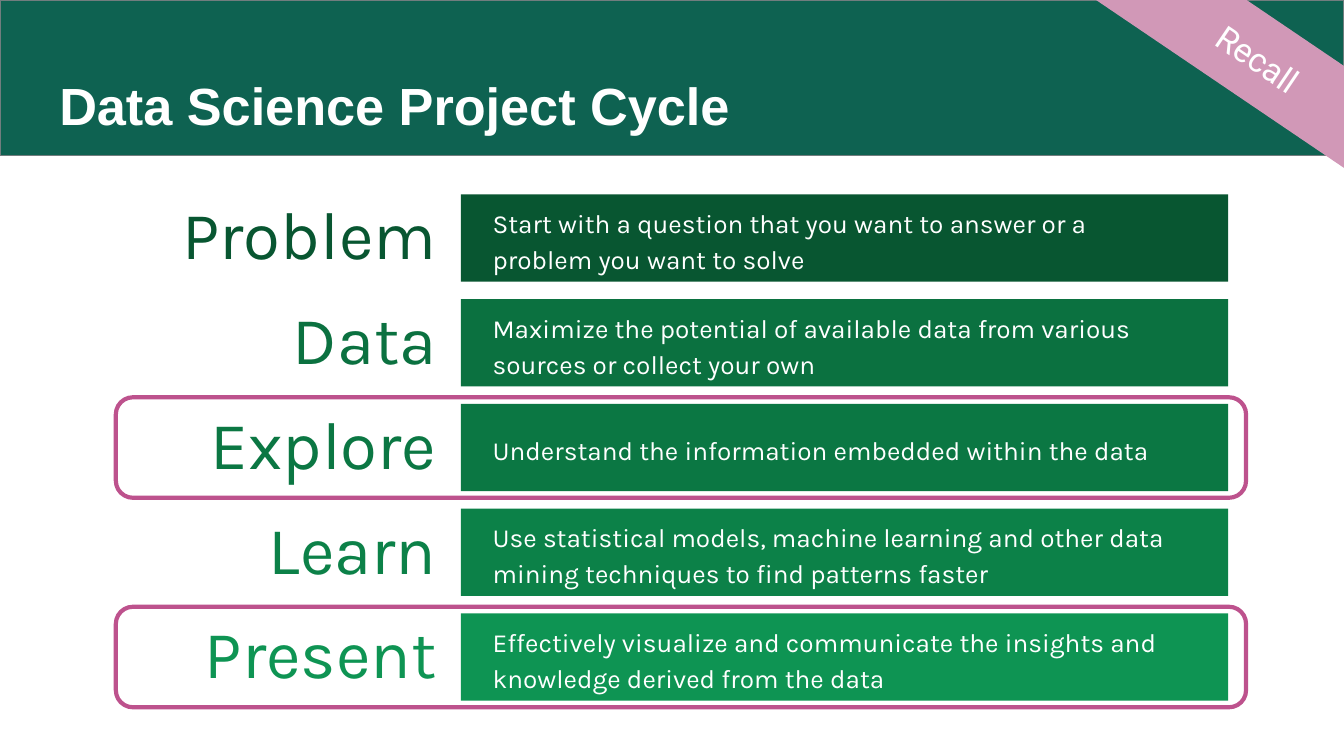
"""Build the Data Science Project Cycle slide."""
from pptx import Presentation
from pptx.dml.color import RGBColor
from pptx.enum.shapes import MSO_SHAPE
from pptx.enum.text import MSO_ANCHOR, PP_ALIGN
from pptx.util import Cm, Pt

TITLE = "Data Science Project Cycle"
BADGE = "Recall"
STEPS = [
    ("Problem", "Start with a question that you want to answer or a problem you want to solve", "085631", False),
    ("Data", "Maximize the potential of available data from various sources or collect your own", "0B7140", False),
    ("Explore", "Understand the information embedded within the data", "0B7743", True),
    ("Learn", "Use statistical models, machine learning and other data mining techniques to find patterns faster", "0C8148", False),
    ("Present", "Effectively visualize and communicate the insights and knowledge derived from the data", "0E9453", True),
]
THEME = {
    "head": "0E6251", "edge": "717D7E", "badge": "D198B7", "frame": "BD528D", "white": "FFFFFF",
    "title": ("Arial", 28), "label": ("Karla", 36), "body": ("Karla", 14), "tag": ("Roboto", 18),
}
FIRST, STEP = 4.5, 1.98
LABEL = (2.2, 6.3, 1.42)
BAR = (8.71, 14.5, 1.65)
NOTE = (9.06, 13.4, 0.74)
FRAME = (2.19, 21.36, 1.9)
TAG = (20.6, 6.35, 1.57)


def place(column, mid):
    left, width, height = column
    return [Cm(v) for v in (left, mid - height / 2, width, height)]


def color(name):
    return RGBColor.from_string(THEME.get(name, name))


def draw(shapes, kind, box, fill=None, line=None, width=0.75):
    shape = shapes.add_shape(kind, *box)
    shape.shadow.inherit = False
    if fill:
        shape.fill.solid()
        shape.fill.fore_color.rgb = color(fill)
    else:
        shape.fill.background()
    if line:
        shape.line.color.rgb = color(line)
        shape.line.width = Pt(width)
    else:
        shape.line.fill.background()
    return shape


def write(shape, text, style, ink, align, space=1.0, bold=False, pad=0.13, anchor=MSO_ANCHOR.MIDDLE):
    frame = shape.text_frame
    frame.word_wrap = True
    frame.vertical_anchor = anchor
    frame.margin_left = frame.margin_right = Cm(0.25)
    frame.margin_top = frame.margin_bottom = Cm(pad)
    para = frame.paragraphs[0]
    para.alignment = align
    para.line_spacing = space
    run = para.add_run()
    run.text = text
    run.font.name, size = THEME[style]
    run.font.size = Pt(size)
    run.font.bold = bold
    run.font.color.rgb = color(ink)


def main():
    deck = Presentation()
    deck.slide_width, deck.slide_height = Cm(25.4), Cm(14.29)
    slide = deck.slides.add_slide(deck.slide_layouts[5])
    shapes = slide.shapes

    title = shapes.title
    title.left, title.top, title.width, title.height = Cm(0.87), Cm(1.22), Cm(23.67), Cm(1.6)
    write(title, TITLE, "title", "white", PP_ALIGN.LEFT, bold=True, pad=0.25, anchor=MSO_ANCHOR.BOTTOM)
    head = draw(shapes, MSO_SHAPE.RECTANGLE, (0, 0, deck.slide_width, Cm(2.94)), "head", "edge")
    title.element.addprevious(head.element)

    for i, (name, note, tint, _) in enumerate(STEPS):
        mid = FIRST + i * STEP
        group = shapes.add_group_shape()
        label = group.shapes.add_textbox(*place(LABEL, mid))
        write(label, name, "label", tint, PP_ALIGN.RIGHT, 0.9)
        draw(group.shapes, MSO_SHAPE.RECTANGLE, place(BAR, mid), tint)
        text = group.shapes.add_textbox(*place(NOTE, mid + 0.01))
        write(text, note, "body", "white", PP_ALIGN.LEFT, 1.15)

    badge = draw(shapes, MSO_SHAPE.RECTANGLE, place(TAG, 1.11), "badge", "badge")
    badge.rotation = 34.1
    write(badge, BADGE, "tag", "white", PP_ALIGN.CENTER, pad=0.25)

    for i, step in enumerate(STEPS):
        if step[3]:
            box = place(FRAME, FIRST + i * STEP)
            frame = draw(shapes, MSO_SHAPE.ROUNDED_RECTANGLE, box, line="frame", width=2.25)
            frame.adjustments[0] = 0.17

    deck.save("out.pptx")


if __name__ == "__main__":
    main()
